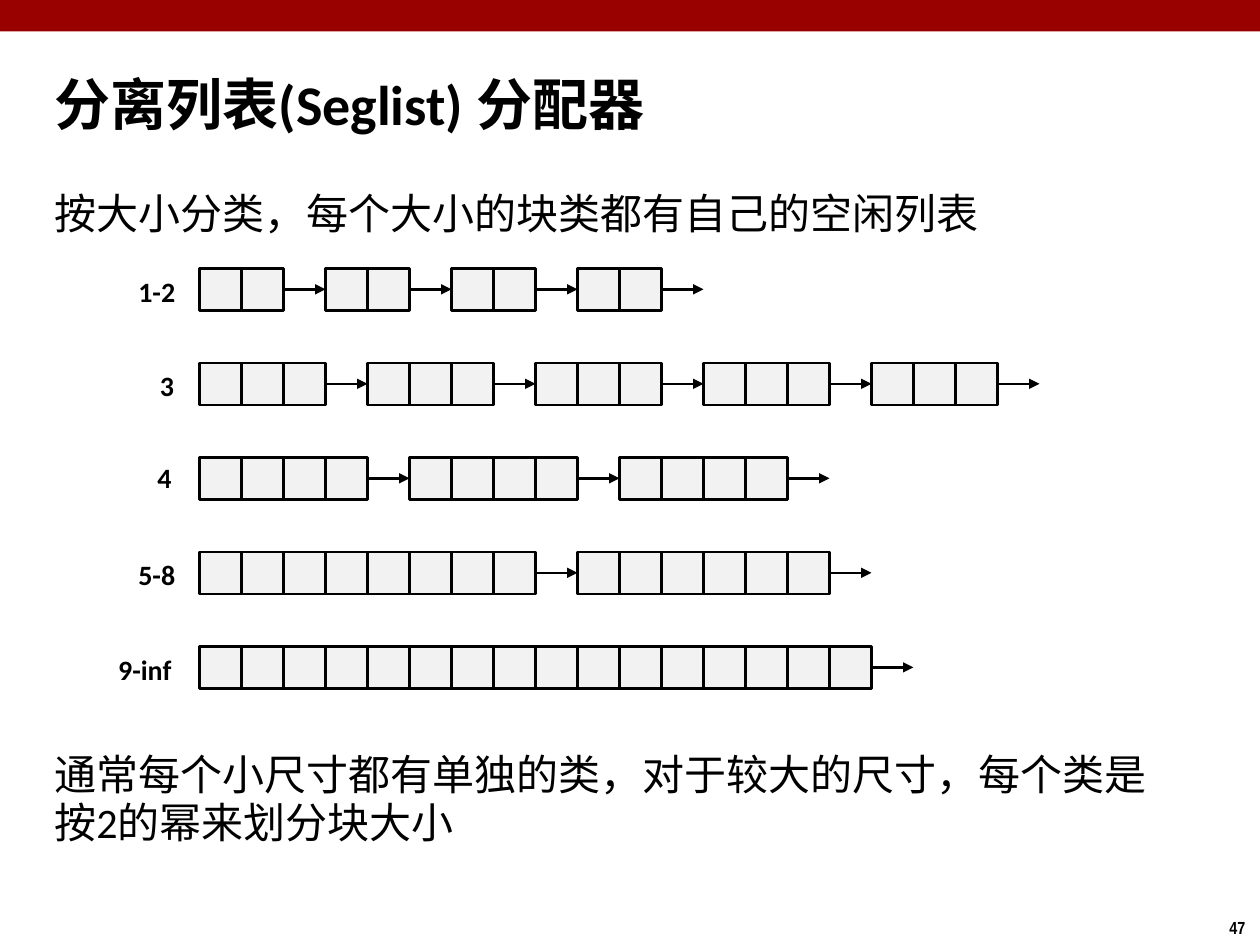
from lxml.etree import SubElement
from pptx import Presentation
from pptx.dml.color import RGBColor
from pptx.enum.shapes import MSO_CONNECTOR as Connector, MSO_SHAPE as Shape
from pptx.enum.text import MSO_ANCHOR as Anchor
from pptx.oxml.ns import qn
from pptx.util import Inches, Pt

RED = RGBColor(0x99, 0x00, 0x00)
BLACK = RGBColor(0x00, 0x00, 0x00)
PALE = RGBColor(0xF2, 0xF2, 0xF2)

WIDTH, HEIGHT = 10, 7.5
CELL = 1 / 3                  # side of one cell, also the length of an arrow
MARGIN = WIDTH / 30           # left edge of the title and the statements
LEFT, TOP = 4.75 * CELL, 2.13  # corner of the first cell
ROW_STEP = 0.75

# Size class, label (left, width, vertical shift) in inches, cells per block
SIZE_CLASSES = [
    ("1-2", (1.0, 0.5, 0), [2, 2, 2, 2]),
    ("3", (1.17, 0.32, 0), [3, 3, 3, 3, 3]),
    ("4", (1.15, 0.32, -0.02), [4, 4, 4]),
    ("5-8", (1.0, 0.5, 0), [8, 6]),
    ("9-inf", (0.84, 0.63, 0), [16]),
]


def column(number):
    return Inches(LEFT + number * CELL)


def row_top(row):
    return TOP + row * ROW_STEP


def add_text(page, area, lines, size, bold=False, font="Calibri", wrap=True,
             anchor=Anchor.TOP, spacing=1.0, gap=0, inset=0.05):
    box = page.shapes.add_textbox(*(Inches(length) for length in area))
    frame = box.text_frame
    frame.word_wrap = wrap
    frame.vertical_anchor = anchor
    frame.margin_top = Inches(inset)
    for index, line in enumerate(lines):
        para = frame.add_paragraph() if index else frame.paragraphs[0]
        para.text = line
        para.line_spacing = spacing
        para.space_before = Pt(gap if index else 0)
        para.font.name = font
        para.font.size = Pt(size)
        para.font.bold = bold
        para.font.color.rgb = BLACK


def add_band(page):
    band = page.shapes.add_shape(Shape.RECTANGLE, 0, 0, Inches(WIDTH), Inches(HEIGHT / 30))
    band.shadow.inherit = False
    band.fill.solid()
    band.fill.fore_color.rgb = RED
    band.line.fill.background()


def add_cell(page, number, row):
    cell = page.shapes.add_shape(Shape.RECTANGLE, column(number), Inches(row_top(row)),
                                 Inches(CELL), Inches(CELL))
    cell.shadow.inherit = False
    cell.fill.solid()
    cell.fill.fore_color.rgb = PALE
    cell.line.color.rgb = BLACK
    cell.line.width = Pt(1.5)
    return cell


def add_arrow(page, number, row, source, target=None):
    middle = Inches(row_top(row) + CELL / 2)
    arrow = page.shapes.add_connector(Connector.STRAIGHT, column(number), middle,
                                      column(number + 1), middle)
    arrow.begin_connect(source, 3)
    if target is not None:
        arrow.end_connect(target, 1)
    arrow.line.color.rgb = BLACK
    arrow.line.width = Pt(1.5)
    SubElement(arrow.line._get_or_add_ln(), qn("a:tailEnd"), type="triangle")
    SubElement(arrow._element.spPr, qn("a:effectLst"))


def add_free_list(page, row, blocks):
    """Draw the blocks of one size class, each linked to the next."""
    start = 0
    previous = None
    for size in blocks:
        cells = [add_cell(page, start + offset, row) for offset in range(size)]
        if previous is not None:
            add_arrow(page, start - 1, row, previous, cells[0])
        previous = cells[-1]
        start += size + 1
    add_arrow(page, start - 1, row, previous)


def main():
    deck = Presentation()
    deck.slide_width, deck.slide_height = Inches(WIDTH), Inches(HEIGHT)
    page = deck.slides.add_slide(deck.slide_layouts[6])

    # Frame of the page: band, page number, title
    add_band(page)
    add_text(page, (9.66, 7.23, 0.34, 0.27), ["47"], 10, bold=True,
             font="Arial Narrow", wrap=False)
    add_text(page, (MARGIN, 0.54, 9, 0.63), ["分离列表(Seglist) 分配器"], 32, bold=True,
             anchor=Anchor.MIDDLE, spacing=0.87)

    # Statements above and below the diagram
    add_text(page, (MARGIN, 1.32, 9.09, 5.75),
             ["按大小分类，每个大小的块类都有自己的空闲列表",
              "通常每个小尺寸都有单独的类，对于较大的尺寸，每个类是按2的幂来划分块大小"],
             24, spacing=0.95, gap=293, inset=0.2)

    # One free list per size class
    for row, (name, (left, width, shift), blocks) in enumerate(SIZE_CLASSES):
        add_free_list(page, row, blocks)
        add_text(page, (left, row_top(row) + shift, width, 0.37), [name], 16,
                 bold=True, wrap=False)

    deck.save("out.pptx")


if __name__ == "__main__":
    main()
